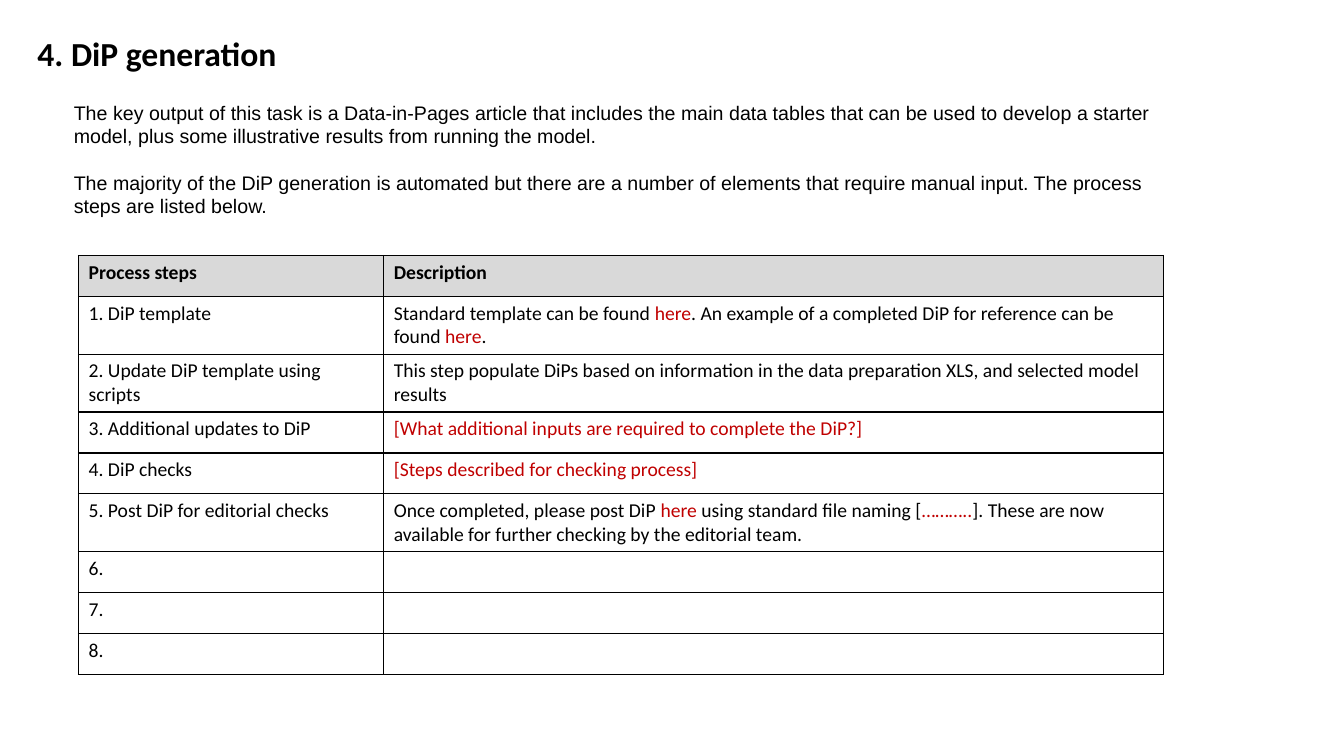
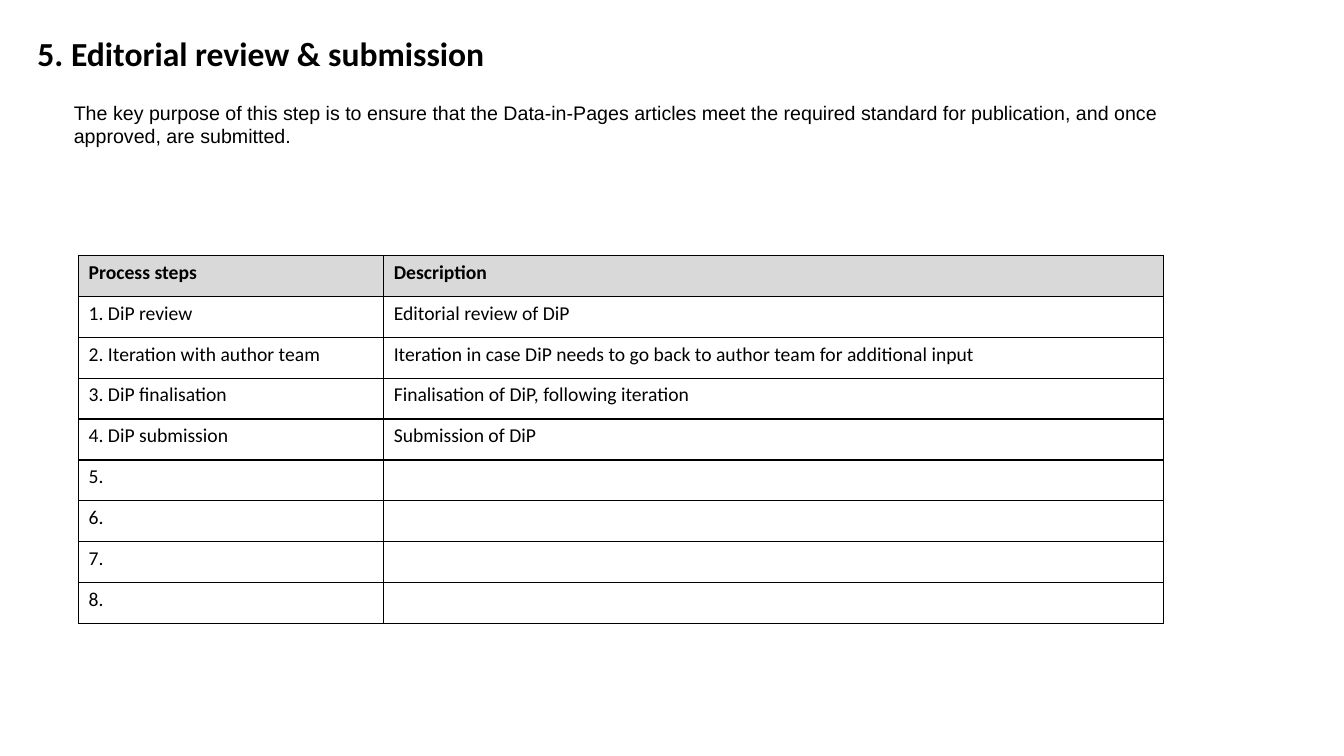
from lxml import etree
from pptx import Presentation
from pptx.dml.color import RGBColor
from pptx.enum import text
from pptx.oxml import ns
from pptx.util import Cm, Pt

BLACK, RED, GREY = "000000", "C00000", "D9D9D9"
HEADING_FONT, BODY_FONT = "Calibri", "Arial"
HEADERS = ("Process steps", "Description")
COLUMN_WIDTHS = (7.69, 19.65)
ROW_HEIGHT = 1.03

# Text between a pair of bars is red.
SLIDES = [
    (
        "4. DiP generation",
        ["The key output of this task is a Data-in-Pages article that includes the main data "
         "tables that can be used to develop a starter model, plus some illustrative results "
         "from running the model.",
         "The majority of the DiP generation is automated but there are a number of elements "
         "that require manual input. The process steps are listed below."],
        [("1. DiP template",
          "Standard template can be found |here|. An example of a completed DiP for reference "
          "can be found |here|."),
         ("2. Update DiP template using scripts",
          "This step populate DiPs based on information in the data preparation XLS, and "
          "selected model results"),
         ("3. Additional updates to DiP",
          "|[What additional inputs are required to complete the DiP?]|"),
         ("4. DiP checks", "|[Steps described for checking process]|"),
         ("5. Post DiP for editorial checks",
          "Once completed, please post DiP |here| using standard file naming [|………..|]. "
          "These are now available for further checking by the editorial team."),
         ("6.", ""), ("7.", ""), ("8.", "")],
    ),
    (
        "5. Editorial review & submission",
        ["The key purpose of this step is to ensure that the Data-in-Pages articles meet the "
         "required standard for publication, and once approved, are submitted."],
        [("1. DiP review", "Editorial review of DiP"),
         ("2. Iteration with author team",
          "Iteration in case DiP needs to go back to author team for additional input"),
         ("3. DiP finalisation", "Finalisation of DiP, following iteration"),
         ("4. DiP submission", "Submission of DiP"),
         ("5.", ""), ("6.", ""), ("7.", ""), ("8.", "")],
    ),
]


def rgb(color):
    return RGBColor.from_string(color)


def format_font(font, name, size, color=BLACK, bold=False):
    font.name, font.size, font.bold = name, Pt(size), bold
    font.color.rgb = rgb(color)


def set_title(s, title):
    sp = s.shapes.title
    sp.left, sp.top, sp.width, sp.height = Cm(0.69), Cm(0.69), Cm(19.3), Cm(1.28)
    tf = sp.text_frame
    tf.text = title
    tf.auto_size = text.MSO_AUTO_SIZE.NONE
    tf.vertical_anchor = text.MSO_ANCHOR.TOP
    p = tf.paragraphs[0]
    p.alignment = text.PP_ALIGN.LEFT
    format_font(p.runs[0].font, HEADING_FONT, 24, bold=True)


def add_intro(s, paragraphs):
    height = 3.25 if len(paragraphs) > 1 else 2.06
    tf = s.shapes.add_textbox(Cm(1.61), Cm(2.41), Cm(28.42), Cm(height)).text_frame
    tf.word_wrap = True
    tf.text = "\n".join(paragraphs)
    for p in tf.paragraphs:
        p.space_after = Pt(16.5)
        format_font(p.runs[0].font, BODY_FONT, 14)


def add_borders(cell):
    tc_pr = cell._tc.get_or_add_tcPr()
    for side in ("a:lnL", "a:lnR", "a:lnT", "a:lnB"):
        line = etree.SubElement(tc_pr, ns.qn(side), w=str(Pt(1)))
        fill = etree.SubElement(line, ns.qn("a:solidFill"))
        etree.SubElement(fill, ns.qn("a:srgbClr"), val=BLACK)


def fill_cell(cell, content, header):
    add_borders(cell)
    if header:
        cell.fill.solid()
        cell.fill.fore_color.rgb = rgb(GREY)
    else:
        cell.fill.background()
    p = cell.text_frame.paragraphs[0]
    format_font(p.font, HEADING_FONT, 14)
    for i, part in enumerate(content.split("|")):
        if part:
            r = p.add_run()
            r.text = part
            format_font(r.font, HEADING_FONT, 14, RED if i % 2 else BLACK, header)


def add_steps_table(s, steps):
    rows = [HEADERS, *steps]
    frame = s.shapes.add_table(len(rows), len(HEADERS), Cm(1.98), Cm(6.44),
                               Cm(sum(COLUMN_WIDTHS)), Cm(ROW_HEIGHT * len(rows)))
    table = frame.table
    table.first_row = table.horz_banding = False
    for column, width in zip(table.columns, COLUMN_WIDTHS):
        column.width = Cm(width)
    for i, (row, contents) in enumerate(zip(table.rows, rows)):
        row.height = Cm(ROW_HEIGHT)
        for cell, content in zip(row.cells, contents):
            fill_cell(cell, content, header=i == 0)


def main():
    prs = Presentation()
    prs.slide_width, prs.slide_height = Cm(33.87), Cm(19.05)
    for title, intro, steps in SLIDES:
        s = prs.slides.add_slide(prs.slide_layouts[5])
        set_title(s, title)
        add_steps_table(s, steps)
        add_intro(s, intro)
    prs.save("out.pptx")


if __name__ == "__main__":
    main()
